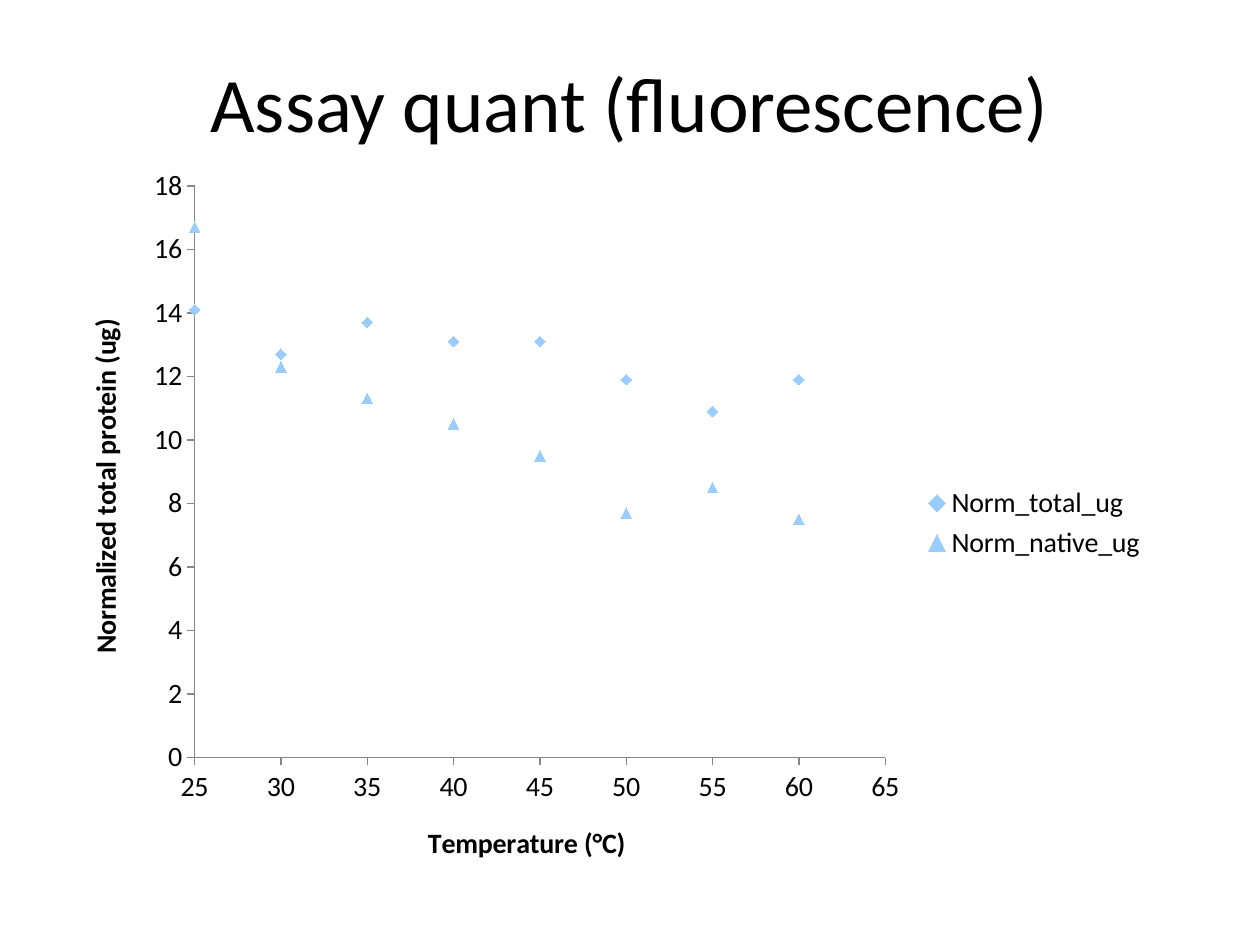
import pptx
import pptx.chart.data
import pptx.dml.color
import pptx.enum.chart
import pptx.enum.text
import pptx.oxml
import pptx.util
from pptx.util import Pt


def color(hex_string):
    return pptx.dml.color.RGBColor.from_string(hex_string)


deck = pptx.Presentation()
deck.slide_width, deck.slide_height = Pt(720), Pt(540)
page = deck.slides.add_slide(deck.slide_layouts[6])

# Title
box = page.shapes.add_textbox(Pt(36), Pt(13), Pt(648), Pt(90))
frame = box.text_frame
frame.word_wrap = True
frame.vertical_anchor = pptx.enum.text.MSO_ANCHOR.MIDDLE
frame.text = "Assay quant (fluorescence)"
para = frame.paragraphs[0]
para.alignment = pptx.enum.text.PP_ALIGN.CENTER
para.font.size = Pt(44)
para.font.name = "Calibri"
para.font.color.rgb = color("000000")

# Scatter chart of protein against temperature
temperatures = range(25, 61, 5)
marker_styles = pptx.enum.chart.XL_MARKER_STYLE
measurements = [
    ("Norm_total_ug", [14.1, 12.7, 13.7, 13.1, 13.1, 11.9, 10.9, 11.9], marker_styles.DIAMOND),
    ("Norm_native_ug", [16.7, 12.3, 11.3, 10.5, 9.5, 7.7, 8.5, 7.5], marker_styles.TRIANGLE),
]
data = pptx.chart.data.XyChartData()
for name, amounts, _ in measurements:
    series = data.add_series(name)
    for temperature, amount in zip(temperatures, amounts):
        series.add_data_point(temperature, amount)

chart = page.shapes.add_chart(
    pptx.enum.chart.XL_CHART_TYPE.XY_SCATTER,
    Pt(36), Pt(89.5), Pt(626.5), Pt(419), data,
).chart
chart.has_title = False
chart.font.size = Pt(16)
chart.font.name = "Calibri"
chart.font.color.rgb = color("000000")
chart.has_legend = True
chart.legend.position = pptx.enum.chart.XL_LEGEND_POSITION.RIGHT
chart.legend.include_in_layout = False
chart.plots[0].vary_by_categories = False

for series, (_, _, style) in zip(chart.plots[0].series, measurements):
    series.smooth = False
    series.format.line.fill.background()
    marker = series.marker
    marker.style = style
    marker.size = 6
    marker.format.fill.solid()
    marker.format.fill.fore_color.rgb = color("99CCFF")
    marker.format.line.fill.background()

axes = [
    (chart.category_axis, "Temperature (°C)", 25, 65, 5),
    (chart.value_axis, "Normalized total protein (ug)", 0, 18, 2),
]
for axis, title, minimum, maximum, step in axes:
    axis.minimum_scale = minimum
    axis.maximum_scale = maximum
    axis.major_unit = step
    axis.has_major_gridlines = False
    axis.major_tick_mark = pptx.enum.chart.XL_TICK_MARK.OUTSIDE
    axis.format.line.color.rgb = color("878787")
    axis.format.line.width = Pt(0.75)
    axis.tick_labels.number_format = "General"
    axis.tick_labels.number_format_is_linked = False
    axis.axis_title.text_frame.text = title
    span = axis.axis_title.text_frame.paragraphs[0].runs[0]
    span.font.bold = True
    span.font.size = Pt(16)
    span.font.name = "Calibri"
    span.font.color.rgb = color("000000")

# Fixed inner plot area, as fractions of the chart
plot_area = chart.plots[0]._element.getparent()
for old_layout in plot_area.xpath("c:layout"):
    plot_area.remove(old_layout)
plot_area.insert(0, pptx.oxml.parse_xml(
    '<c:layout xmlns:c="http://schemas.openxmlformats.org/drawingml/2006/chart">'
    '<c:manualLayout><c:layoutTarget val="inner"/>'
    '<c:xMode val="edge"/><c:yMode val="edge"/>'
    '<c:x val="0.12"/><c:y val="0.04"/><c:w val="0.63"/><c:h val="0.78"/>'
    '</c:manualLayout></c:layout>'
))

deck.save("out.pptx")
